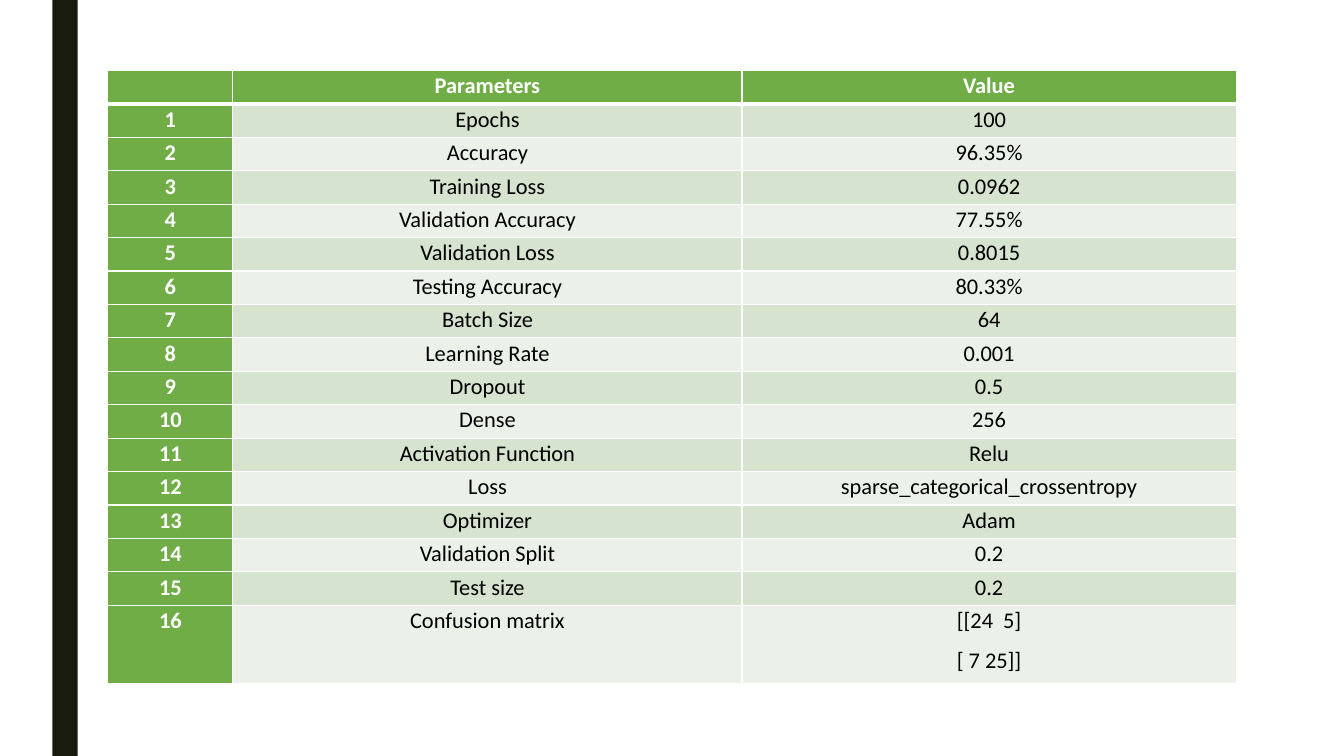
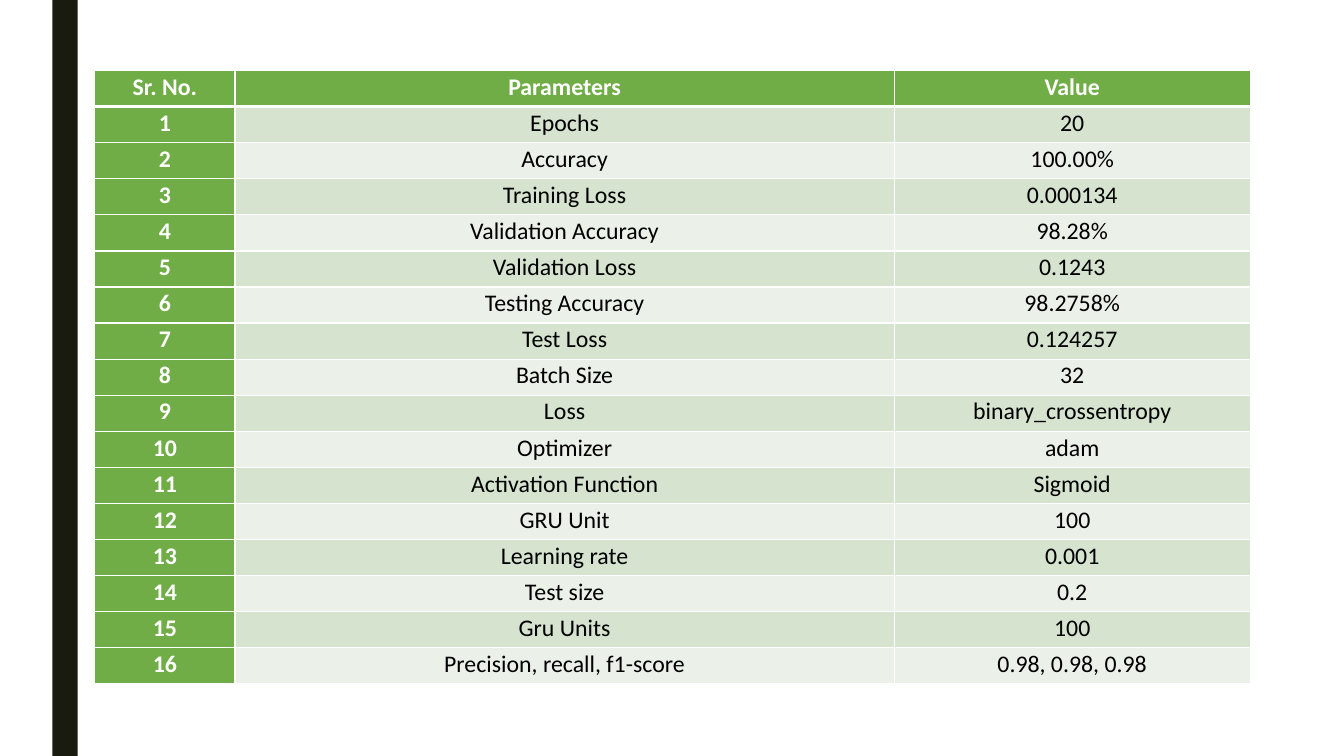
from dataclasses import dataclass

from lxml.etree import SubElement
from pptx import Presentation
from pptx.dml.color import RGBColor
from pptx.enum.shapes import MSO_SHAPE as Shape
from pptx.enum.text import PP_ALIGN as Align
from pptx.oxml.ns import qn
from pptx.util import Inches, Pt

BAND = RGBColor(0x19, 0x1B, 0x0E)
GREEN = RGBColor(0x70, 0xAD, 0x47)
ROW_DARK = RGBColor(0xD5, 0xE3, 0xCF)
ROW_LIGHT = RGBColor(0xEB, 0xF1, 0xE9)
WHITE = RGBColor(0xFF, 0xFF, 0xFF)
BLACK = RGBColor(0x00, 0x00, 0x00)

FONT = "Calibri"
TABLE_TOP = 0.7
TABLE_HEIGHT = 6.09
PARAGRAPH_FORMAT = {"alignment": Align.CENTER, "line_spacing": 1.07, "space_after": Pt(8)}


@dataclass
class ParameterTable:
    number_heading: str
    left: float
    widths: tuple[float, float, float]
    size: int
    inset: float
    rows: list[tuple[str, str]]
    last_height: float | None = None

    def cells(self) -> list[tuple[str, str, str]]:
        """Header followed by the numbered rows."""
        numbered = [(str(n), *row) for n, row in enumerate(self.rows, 1)]
        return [(self.number_heading, "Parameters", "Value"), *numbered]

    def heights(self) -> list[float]:
        """Equal rows, unless the last one has its own height."""
        count = len(self.rows) + 1
        if self.last_height is None:
            return [TABLE_HEIGHT / count] * count
        equal = (TABLE_HEIGHT - self.last_height) / (count - 1)
        return [equal] * (count - 1) + [self.last_height]


TABLES = [
    ParameterTable("", 1.07, (1.24, 5.05, 4.9), 16, 0.1, [
        ("Epochs", "100"),
        ("Accuracy", "96.35%"),
        ("Training Loss", "0.0962"),
        ("Validation Accuracy", "77.55%"),
        ("Validation Loss", "0.8015"),
        ("Testing Accuracy", "80.33%"),
        ("Batch Size", "64"),
        ("Learning Rate", "0.001"),
        ("Dropout", "0.5"),
        ("Dense", "256"),
        ("Activation Function", "Relu"),
        ("Loss", "sparse_categorical_crossentropy"),
        ("Optimizer", "Adam"),
        ("Validation Split", "0.2"),
        ("Test size", "0.2"),
        ("Confusion matrix", "[[24  5]\n[ 7 25]]"),
    ], last_height=0.78),
    ParameterTable("Sr. No.", 0.94, (1.39, 6.54, 3.53), 17, 0.11, [
        ("Epochs", "20"),
        ("Accuracy", "100.00%"),
        ("Training Loss", "0.000134"),
        ("Validation Accuracy", "98.28%"),
        ("Validation Loss", "0.1243"),
        ("Testing Accuracy", "98.2758%"),
        ("Test Loss", "0.124257"),
        ("Batch Size", "32"),
        ("Loss", "binary_crossentropy"),
        ("Optimizer", "adam"),
        ("Activation Function", "Sigmoid"),
        ("GRU Unit", "100"),
        ("Learning rate", "0.001"),
        ("Test size", "0.2"),
        ("Gru Units", "100"),
        ("Precision, recall, f1-score", "0.98, 0.98, 0.98"),
    ]),
]


def set_attrs(target, values: dict) -> None:
    for name, value in values.items():
        setattr(target, name, value)


def add_band(s) -> None:
    sp = s.shapes.add_shape(Shape.RECTANGLE, Inches(0.52), 0, Inches(0.25), Inches(7.5))
    sp.shadow.inherit = False
    sp.fill.solid()
    sp.fill.fore_color.rgb = BAND
    sp.line.fill.background()


def set_borders(cell, top: int, bottom: int) -> None:
    tc_pr = cell._tc.get_or_add_tcPr()
    for side, width in {"L": 1, "R": 1, "T": top, "B": bottom}.items():
        ln = SubElement(tc_pr, qn(f"a:ln{side}"), w=str(Pt(width)))
        fill = SubElement(ln, qn("a:solidFill"))
        SubElement(fill, qn("a:srgbClr"), val=str(WHITE))


def format_cell(cell, text: str, row: int, column: int, spec_table: ParameterTable) -> None:
    heading = row == 0 or column == 0
    # A thick rule separates the header from the rows
    set_borders(cell, top=3 if row == 1 else 1, bottom=3 if row == 0 else 1)
    cell.fill.solid()
    cell.fill.fore_color.rgb = GREEN if heading else ROW_DARK if row % 2 else ROW_LIGHT
    inset = Inches(spec_table.inset)
    set_attrs(cell, {"margin_left": inset, "margin_right": inset,
                     "margin_top": 0, "margin_bottom": 0})
    cell.text = text
    for p in cell.text_frame.paragraphs:
        set_attrs(p, PARAGRAPH_FORMAT)
        for r in p.runs:
            set_attrs(r.font, {"name": FONT, "size": Pt(spec_table.size), "bold": heading})
            r.font.color.rgb = WHITE if heading else BLACK


def add_parameter_table(s, data: ParameterTable) -> None:
    cells = data.cells()
    table = s.shapes.add_table(
        len(cells), len(data.widths), Inches(data.left), Inches(TABLE_TOP),
        Inches(sum(data.widths)), Inches(TABLE_HEIGHT)).table
    for column, width in zip(table.columns, data.widths):
        column.width = Inches(width)
    for row, height in zip(table.rows, data.heights()):
        row.height = Inches(height)
    for i, texts in enumerate(cells):
        for j, text in enumerate(texts):
            format_cell(table.cell(i, j), text, i, j, data)


def main() -> None:
    prs = Presentation()
    prs.slide_width, prs.slide_height = Inches(13.33), Inches(7.5)
    blank = prs.slide_layouts[6]
    for data in TABLES:
        s = prs.slides.add_slide(blank)
        add_band(s)
        add_parameter_table(s, data)
    prs.save("out.pptx")


if __name__ == "__main__":
    main()
